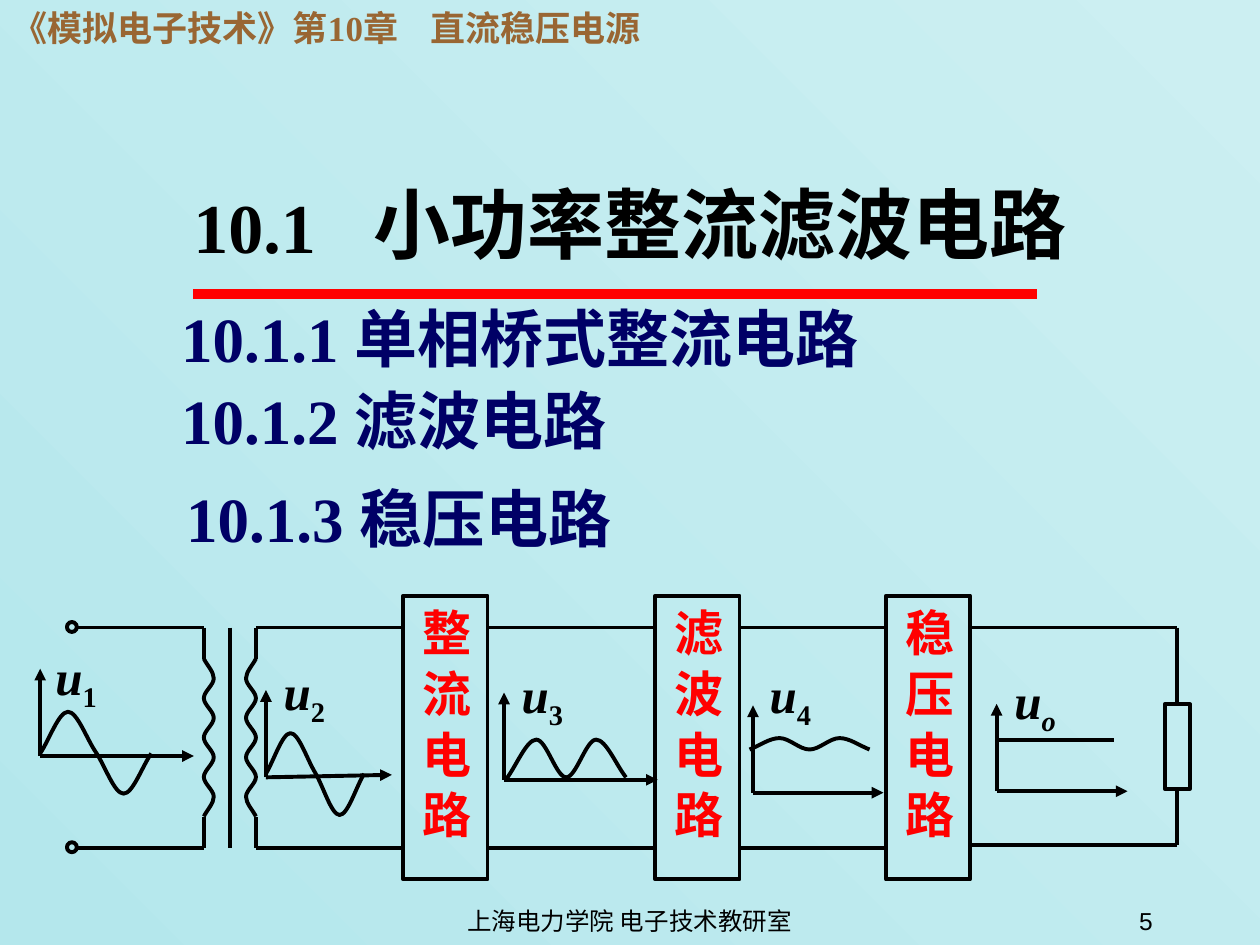
"""Build the slide on small-power rectifier and filter circuits."""
from lxml import etree
from pptx import Presentation, util as u
from pptx.dml.color import RGBColor
from pptx.enum import shapes, text
from pptx.oxml.ns import qn

LATIN, CJK = "Times New Roman", "Noto Sans CJK SC"
BLACK, RED, NAVY, BROWN = "000000", "FF0000", "000066", "996633"
TOP, BOTTOM = 12.65, 17.09
BLOCKS = [(8.13, "整 流 电 路"), (13.21, "滤 波 电 路"), (17.86, "稳 压 电 路")]
# subscript, label corner, axis origin, time axis end, curve span, curve levels
SIGNALS = [
    ("1", (0.76, 12.9), (0.81, 15.24), (3.91, 15.24), (0.81, 3.05), [15.19, 14.35, 15.16, 16, 15.19]),
    ("2", (5.36, 13.21), (5.36, 15.67), (7.9, 15.62), (5.36, 7.34), [15.6, 14.78, 15.57, 16.43, 15.6]),
    ("3", (10.16, 13.26), (10.16, 15.72), (13.26, 15.72), (10.21, 12.62), [15.7, 14.91, 15.67, 14.91, 15.67]),
    ("4", (15.16, 13.26), (15.18, 15.98), (17.81, 15.98), (15.11, 17.53), [15.11, 14.88, 15.11, 14.88, 15.11]),
    ("o", (20.09, 13.39), (20.09, 15.95), (22.73, 15.95), None, None),
]


def color(value):
    """Return the colour of a hex string."""
    return RGBColor.from_string(value)


def assign(target, **values):
    """Set every given attribute on the target."""
    for name, value in values.items():
        setattr(target, name, value)


def place(shape, left, top, width, height):
    """Move and size a shape in centimetres."""
    assign(shape, left=u.Cm(left), top=u.Cm(top), width=u.Cm(width), height=u.Cm(height))


def set_frame(frame, anchor=text.MSO_ANCHOR.TOP, margins=(0.25, 0.13, 0.25, 0.13)):
    """Fix the anchor and margins of a wrapping text frame."""
    sides = ("left", "top", "right", "bottom")
    assign(frame, auto_size=text.MSO_AUTO_SIZE.NONE, word_wrap=True, vertical_anchor=anchor,
           **{f"margin_{side}": u.Cm(gap) for side, gap in zip(sides, margins)})


def add_span(para, words, size, ink, name=LATIN, **style):
    """Append a formatted run and return it."""
    span = para.add_run()
    span.text = words
    span.font.color.rgb = color(ink)
    assign(span.font, size=u.Pt(size), name=name, **style)
    etree.SubElement(span.font._element, qn("a:ea"), typeface=CJK)
    return span


def add_tab(para, position):
    """Give a paragraph one left tab stop."""
    stops = etree.SubElement(para._p.get_or_add_pPr(), qn("a:tabLst"))
    etree.SubElement(stops, qn("a:tab"), pos=str(u.Cm(position)), algn="l")


def add_label(page, place_at, align=text.PP_ALIGN.LEFT, anchor=text.MSO_ANCHOR.TOP):
    """Add a text box and return its first paragraph."""
    box = page.shapes.add_textbox(*map(u.Cm, place_at))
    set_frame(box.text_frame, anchor)
    para = box.text_frame.paragraphs[0]
    para.alignment = align
    return para


def add_wire(page, start, end, ink=BLACK, width=2.25, arrow=False):
    """Draw a straight line, with an arrowhead at its end if asked."""
    wire = page.shapes.add_connector(shapes.MSO_CONNECTOR.STRAIGHT, *map(u.Cm, (*start, *end)))
    wire.line.color.rgb = color(ink)
    wire.line.width = u.Pt(width)
    if arrow:
        etree.SubElement(wire.line._get_or_add_ln(), qn("a:tailEnd"), type="triangle")
    etree.SubElement(wire._element.spPr, qn("a:effectLst"))


def outline(shape):
    """Leave only a black outline on a shape."""
    shape.shadow.inherit = False
    shape.fill.background()
    shape.line.color.rgb = color(BLACK)
    shape.line.width = u.Pt(2.25)
    return shape


def add_outline(page, kind, *bounds):
    """Add an unfilled preset shape."""
    return outline(page.shapes.add_shape(kind, *map(u.Cm, bounds)))


def spread(first, last, count):
    """Return evenly spaced numbers."""
    return [first + (last - first) * i / (count - 1) for i in range(count)]


def handles(values):
    """Return two Bezier handles and the end knot for each gap between knots."""
    track = [2 * values[0] - values[1], *values, 2 * values[-1] - values[-2]]
    return [value for a, b, c, d in zip(track, track[1:], track[2:], track[3:])
            for value in (b + (c - a) / 6, c - (d - b) / 6, c)]


def add_curve(page, xs, ys):
    """Draw a smooth open curve of cubic segments through the knots."""
    builder = page.shapes.build_freeform(u.Cm(xs[0]), u.Cm(ys[0]))
    points = [(u.Cm(x), u.Cm(y)) for x, y in zip(handles(xs), handles(ys))]
    builder.add_line_segments(points, close=False)
    curve = outline(builder.convert_to_shape())
    track = next(curve._element.iter(qn("a:path")))
    steps = track.findall(qn("a:lnTo"))
    for i in range(0, len(steps), 3):
        bend = etree.SubElement(track, qn("a:cubicBezTo"))
        for step in steps[i:i + 3]:
            bend.append(step[0])
            track.remove(step)


def add_headings(page):
    """Write the chapter line, the title, the list and the footer."""
    chapter = add_label(page, (0, 0, 15.7, 1.12))
    add_tab(chapter, 8.43)
    add_span(chapter, "《模拟电子技术》第10章\t直流稳压电源", 20, BROWN, bold=True)

    title, body = page.placeholders
    place(title, 3.65, 3.65, 18.64, 1.93)
    set_frame(title.text_frame, text.MSO_ANCHOR.MIDDLE)
    para = title.text_frame.paragraphs[0]
    assign(para, alignment=text.PP_ALIGN.LEFT, line_spacing=0.9)
    add_tab(para, 3.63)
    add_span(para, "10.1", 40, BLACK, bold=True)
    add_span(para, "\t小功率整流滤波电路", 44, BLACK, bold=True)
    add_wire(page, (3.9, 5.93), (20.9, 5.93), RED, 6)

    place(body, 3.65, 5.91, 16.74, 5.3)
    set_frame(body.text_frame, margins=(0, 0, 0, 0))
    topics = [("10.1.1 单相桥式整流电路", 0, 0), ("10.1.2 滤波电路", 0, 0), ("10.1.3 稳压电路", 9, 0.1)]
    for i, (words, before, indent) in enumerate(topics):
        para = body.text_frame.add_paragraph() if i else body.text_frame.paragraphs[0]
        assign(para, line_spacing=u.Pt(46.8), space_before=u.Pt(before))
        settings = para._p.get_or_add_pPr()
        settings.set("marL", str(u.Cm(indent)))
        settings.set("indent", "0")
        etree.SubElement(settings, qn("a:buNone"))
        add_span(para, words, 36, NAVY, bold=True)

    middle = text.MSO_ANCHOR.MIDDLE
    footer = add_label(page, (8.67, 17.93, 8.05, 1.27), text.PP_ALIGN.CENTER, middle)
    add_span(footer, "上海电力学院 电子技术教研室", 14, BLACK, "Arial")
    number = add_label(page, (18.21, 17.93, 5.28, 1.27), text.PP_ALIGN.RIGHT, middle)
    add_span(number, "5", 14, BLACK, "Arial")


def add_transformer(page):
    """Draw the input terminals, both windings and the core."""
    for y, coil_end in ((TOP, 13.28), (BOTTOM, 16.46)):
        add_outline(page, shapes.MSO_SHAPE.OVAL, 1.35, y - 0.11, 0.2, 0.2)
        add_wire(page, (1.57, y), (4.11, y))
        for x in (4.11, 5.16):
            add_wire(page, (x, y), (x, coil_end))
    for x, bulge in ((4.11, 0.2), (5.16, -0.2)):
        add_curve(page, [x + bulge * (i % 2) for i in range(9)], spread(13.28, 16.46, 9))
    add_wire(page, (4.64, TOP), (4.64, BOTTOM))


def add_stages(page):
    """Draw the three circuit blocks, the wires between them and the load."""
    for left, words in BLOCKS:
        block = add_outline(page, shapes.MSO_SHAPE.RECTANGLE, left, 12.01, 1.7, 5.72)
        set_frame(block.text_frame, text.MSO_ANCHOR.MIDDLE, (0.13, 0.25, 0.13, 0.25))
        block.text_frame._txBody.bodyPr.set("vert", "eaVert")
        para = block.text_frame.paragraphs[0]
        para.alignment = text.PP_ALIGN.CENTER
        add_span(para, words, 28, RED, bold=True)
    for start, end in ((5.16, 8.13), (9.83, 13.21), (14.91, 17.86)):
        for y in (TOP, BOTTOM):
            add_wire(page, (start, y), (end, y))
    for y, load_end in ((TOP, 14.2), (17.04, 15.9)):
        add_wire(page, (19.56, y), (23.72, y))
        add_wire(page, (23.72, y), (23.72, load_end))
    add_outline(page, shapes.MSO_SHAPE.RECTANGLE, 23.48, 14.2, 0.51, 1.7)


def add_signal(page, subscript, corner, origin, time_end, span, levels):
    """Draw the axes, curve and label of one voltage."""
    add_wire(page, origin, (origin[0], origin[1] - 1.76), arrow=True)
    add_wire(page, origin, time_end, arrow=True)
    if levels:
        add_curve(page, spread(*span, len(levels)), levels)
    else:
        add_wire(page, (20.14, 14.91), (22.45, 14.91))
    para = add_label(page, (*corner, 1.55, 1.6), text.PP_ALIGN.CENTER)
    add_span(para, "u", 28, BLACK, bold=True, italic=True)
    lowered = add_span(para, subscript, 28, BLACK, bold=True, italic=subscript == "o")
    lowered.font._element.set("baseline", "-25000")


def main():
    """Create the deck and save it."""
    deck = Presentation()
    assign(deck, slide_width=u.Cm(25.4), slide_height=u.Cm(19.05))
    page = deck.slides.add_slide(deck.slide_layouts[1])
    fill = page.background.fill
    fill.gradient()
    fill.gradient_angle = 45
    for stop, value in zip(fill.gradient_stops, ("B4E7EC", "CCEFF2")):
        stop.color.rgb = color(value)
    add_headings(page)
    add_transformer(page)
    add_stages(page)
    for signal in SIGNALS:
        add_signal(page, *signal)
    deck.save("out.pptx")


if __name__ == "__main__":
    main()
